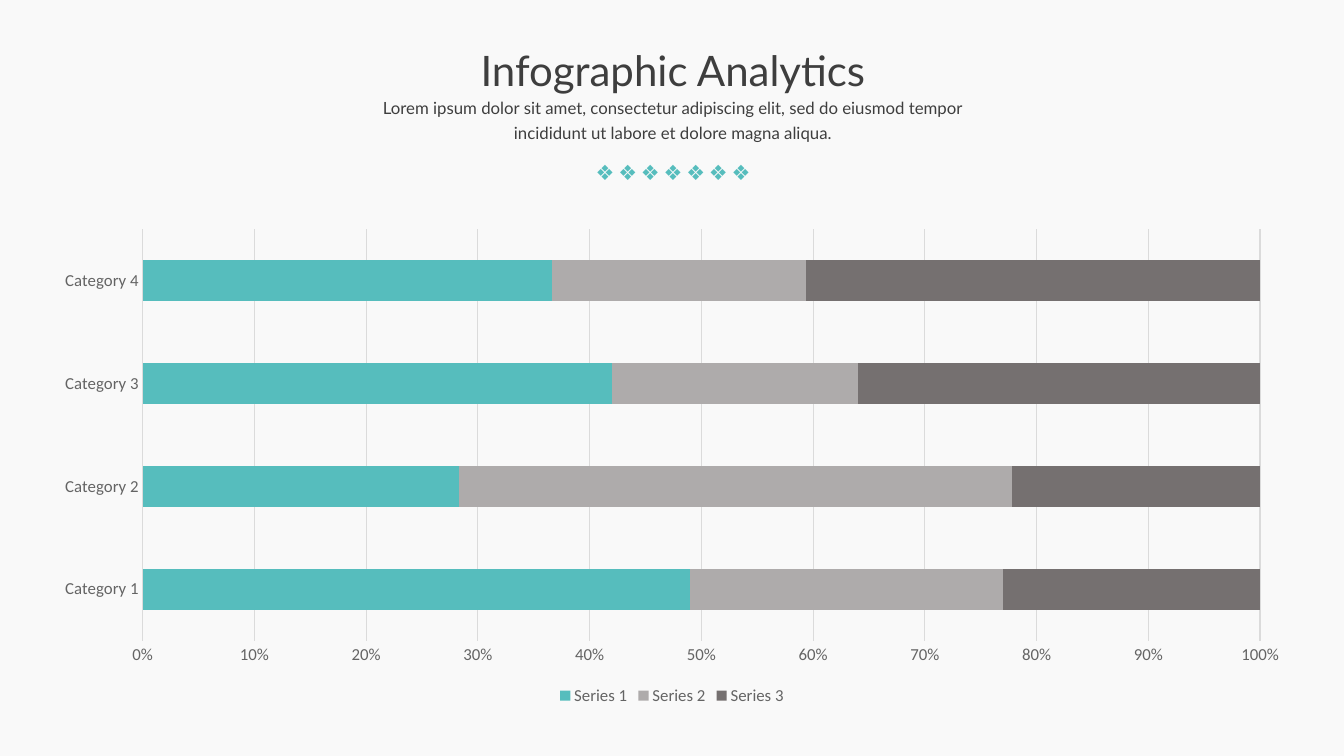
from lxml import etree
from pptx import Presentation
from pptx.chart.data import CategoryChartData
from pptx.dml.color import RGBColor
from pptx.enum.chart import XL_CHART_TYPE as ChartType, XL_LEGEND_POSITION as LegendPosition
from pptx.enum.chart import XL_TICK_MARK as TickMark
from pptx.enum.text import MSO_ANCHOR as Anchor, MSO_AUTO_SIZE as AutoSize, PP_ALIGN as Align
from pptx.util import Inches, Pt

TITLE = "Infographic Analytics"
SUBTITLE = ("Lorem ipsum dolor sit amet, consectetur adipiscing elit, "
            "sed do eiusmod tempor incididunt ut labore et dolore magna aliqua.")
ORNAMENT, ORNAMENT_COUNT = "❖", 7
CATEGORIES = ["Category 1", "Category 2", "Category 3", "Category 4"]
SERIES = [
    ("Series 1", (49, 28, 42, 37), "teal"),
    ("Series 2", (28, 49, 22, 23), "light_gray"),
    ("Series 3", (23, 22, 36, 41), "dark_gray"),
]
COLORS = {
    "background": "F9F9F9", "heading": "3E3E3E", "label": "646464", "grid": "DBDBDB",
    "teal": "56BDBD", "light_gray": "AEABAB", "dark_gray": "757070",
}
SLIDE_WIDTH, SLIDE_HEIGHT = 13.33, 7.5
CENTER = SLIDE_WIDTH / 2 + 0.01
ORNAMENT_WIDTH, ORNAMENT_PITCH = 0.19, 0.225


def color(name):
    return RGBColor.from_string(COLORS[name])


def style_font(font, size, color_name, name):
    font.size, font.name = Pt(size), name
    font.color.rgb = color(color_name)


def add_text(slide, text, center, top, width, height, size, color_name, font_name,
             line_spacing=1.0, wrap=False, anchor=Anchor.TOP):
    """Add a margin-free text box centred on a horizontal position."""
    shape = slide.shapes.add_textbox(Inches(center - width / 2), Inches(top),
                                     Inches(width), Inches(height))
    frame = shape.text_frame
    frame.margin_left = frame.margin_right = frame.margin_top = frame.margin_bottom = 0
    frame.word_wrap, frame.vertical_anchor = wrap, anchor
    frame.auto_size = AutoSize.SHAPE_TO_FIT_TEXT
    paragraph = frame.paragraphs[0]
    paragraph.text = text
    paragraph.alignment = Align.CENTER
    paragraph.line_spacing = line_spacing
    style_font(paragraph.font, size, color_name, font_name)


def style_axis(axis):
    axis.major_tick_mark = axis.minor_tick_mark = TickMark.NONE
    style_font(axis.tick_labels.font, 12, "label", "Calibri")


def style_line(line):
    line.color.rgb = color("grid")
    line.width = Pt(0.75)


def add_share_chart(slide):
    data = CategoryChartData()
    data.categories = CATEGORIES
    for name, values, _ in SERIES:
        data.add_series(name, values)
    width, top, height = 12.54, 2.18, 4.86
    chart = slide.shapes.add_chart(
        ChartType.BAR_STACKED_100, Inches((SLIDE_WIDTH - width) / 2), Inches(top),
        Inches(width), Inches(height), data).chart
    chart.has_title = False
    style_font(chart.font, 12, "label", "Calibri")

    plot = chart.plots[0]
    plot.gap_width, plot.overlap, plot.vary_by_categories = 150, 100, False
    for series, (_, _, color_name) in zip(plot.series, SERIES):
        series.format.fill.solid()
        series.format.fill.fore_color.rgb = color(color_name)

    style_axis(chart.category_axis)
    style_line(chart.category_axis.format.line)
    value_axis = chart.value_axis
    style_axis(value_axis)
    value_axis.format.line.fill.background()
    value_axis.has_major_gridlines = True
    style_line(value_axis.major_gridlines.format.line)
    value_axis.minimum_scale, value_axis.maximum_scale, value_axis.major_unit = 0, 1, 0.1
    value_axis.tick_labels.number_format = "0%"
    value_axis.tick_labels.number_format_is_linked = False

    chart.has_legend = True
    chart.legend.position = LegendPosition.BOTTOM
    chart.legend.include_in_layout = False
    style_font(chart.legend.font, 12, "label", "Calibri")


def main():
    presentation = Presentation()
    presentation.slide_width = Inches(SLIDE_WIDTH)
    presentation.slide_height = Inches(SLIDE_HEIGHT)
    slide = presentation.slides.add_slide(presentation.slide_layouts[6])
    slide.background.fill.solid()
    slide.background.fill.fore_color.rgb = color("background")

    add_share_chart(slide)
    add_text(slide, TITLE, CENTER, 0.44, 3.96, 0.48, 30, "heading", "Lato",
             line_spacing=Pt(37), anchor=Anchor.MIDDLE)
    add_text(slide, SUBTITLE, CENTER, 0.92, 6, 0.48, 12, "heading", "Lato",
             line_spacing=1.25, wrap=True)
    for index in range(ORNAMENT_COUNT):
        offset = (index - (ORNAMENT_COUNT - 1) / 2) * ORNAMENT_PITCH
        add_text(slide, ORNAMENT, CENTER + offset, 1.58, ORNAMENT_WIDTH, 0.25,
                 15, "teal", "Calibri")

    presentation.save("out.pptx")


if __name__ == "__main__":
    main()
